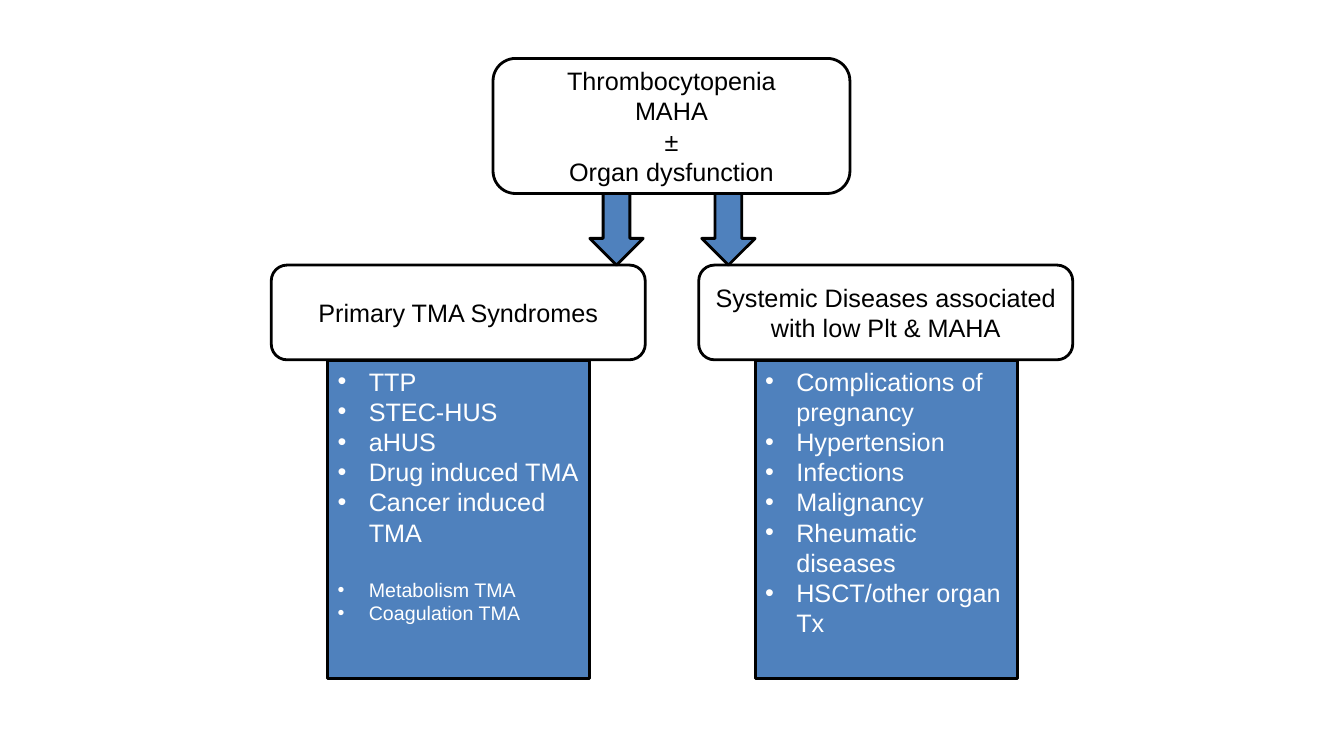
from lxml import etree
from pptx import Presentation
from pptx.dml.color import RGBColor
from pptx.enum.shapes import MSO_SHAPE
from pptx.enum.text import MSO_ANCHOR, PP_ALIGN
from pptx.oxml.ns import qn
from pptx.util import Inches, Pt

ROUND = MSO_SHAPE.ROUNDED_RECTANGLE
RECT = MSO_SHAPE.RECTANGLE
ARROW = MSO_SHAPE.DOWN_ARROW
MIDDLE, TOP = MSO_ANCHOR.MIDDLE, MSO_ANCHOR.TOP
CENTER, LEFT = PP_ALIGN.CENTER, PP_ALIGN.LEFT
COLORS = {"black": "000000", "white": "FFFFFF", "blue": "4F81BD"}
FINDINGS = ["Thrombocytopenia", "MAHA", "±", "Organ dysfunction"]
GROUPS = [
    (2.69, 5.85, "Primary TMA Syndromes",
     ["TTP", "STEC-HUS", "aHUS", "Drug induced TMA", "Cancer induced TMA"],
     ["Metabolism TMA", "Coagulation TMA"]),
    (6.93, 6.96, "Systemic Diseases associated with low Plt & MAHA",
     ["Complications of pregnancy", "Hypertension", "Infections",
      "Malignancy", "Rheumatic diseases", "HSCT/other organ Tx"], []),
]


def color(name):
    """Return the named colour."""
    return RGBColor.from_string(COLORS[name])


def add_box(slide, kind, place, fill=None):
    """Add an outlined shape, filled if a colour is named."""
    box = slide.shapes.add_shape(kind, *map(Inches, place))
    box.shadow.inherit = False
    if fill:
        box.fill.solid()
        box.fill.fore_color.rgb = color(fill)
    else:
        box.fill.background()
    box.line.color.rgb = color("black")
    box.line.width = Pt(2)
    return box


def add_bullet(para):
    """Give a paragraph a round bullet and a hanging indent."""
    props = para._p.get_or_add_pPr()
    props.set("marL", str(Inches(0.31)))
    props.set("indent", str(-Inches(0.31)))
    etree.SubElement(props, qn("a:buFont")).set("typeface", "Arial")
    etree.SubElement(props, qn("a:buChar")).set("char", "•")


def add_line(frame, index, text, size, ink, align):
    """Write one paragraph, reusing the first one of the frame."""
    para = frame.paragraphs[0] if index == 0 else frame.add_paragraph()
    para.text = text
    para.alignment = align
    if align == LEFT:
        add_bullet(para)
    para.font.name = "Arial"
    para.font.size = Pt(size)
    para.font.color.rgb = color(ink)
    return para


def add_title(slide, place, lines):
    """Add a rounded box with centred lines."""
    frame = add_box(slide, ROUND, place).text_frame
    frame.word_wrap = True
    frame.vertical_anchor = MIDDLE
    for index, text in enumerate(lines):
        add_line(frame, index, text, 18, "black", CENTER)


def add_list(slide, place, main_items, minor):
    """Add a blue box of bullets, with smaller ones set apart below."""
    frame = add_box(slide, RECT, place, "blue").text_frame
    frame.word_wrap = True
    frame.vertical_anchor = TOP
    for index, text in enumerate(main_items + minor):
        size = 18 if index < len(main_items) else 14
        para = add_line(frame, index, text, size, "white", LEFT)
        if index == len(main_items):
            para.space_before = Pt(21.6)


def main():
    """Build the slide and save it."""
    deck = Presentation()
    deck.slide_width, deck.slide_height = Inches(13.33), Inches(7.5)
    slide = deck.slides.add_slide(deck.slide_layouts[6])
    add_title(slide, (4.89, 0.58, 3.54, 1.34), FINDINGS)
    for left, tip, title, items, minor in GROUPS:
        add_box(slide, ARROW, (tip, 1.92, 0.53, 0.71), "blue")
        add_title(slide, (left, 2.63, 3.71, 0.94), [title])
        add_list(slide, (left + 0.56, 3.58, 2.6, 3.15), items, minor)
    deck.save("out.pptx")


if __name__ == "__main__":
    main()
